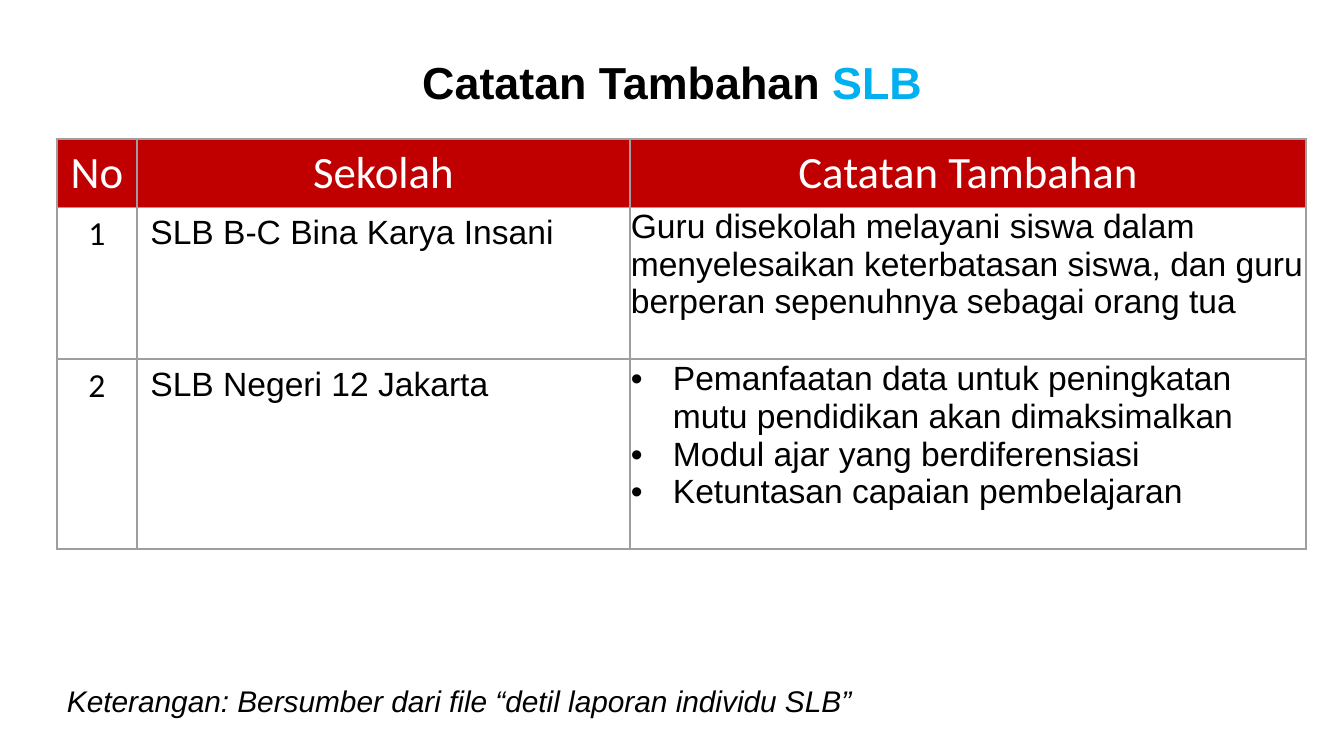
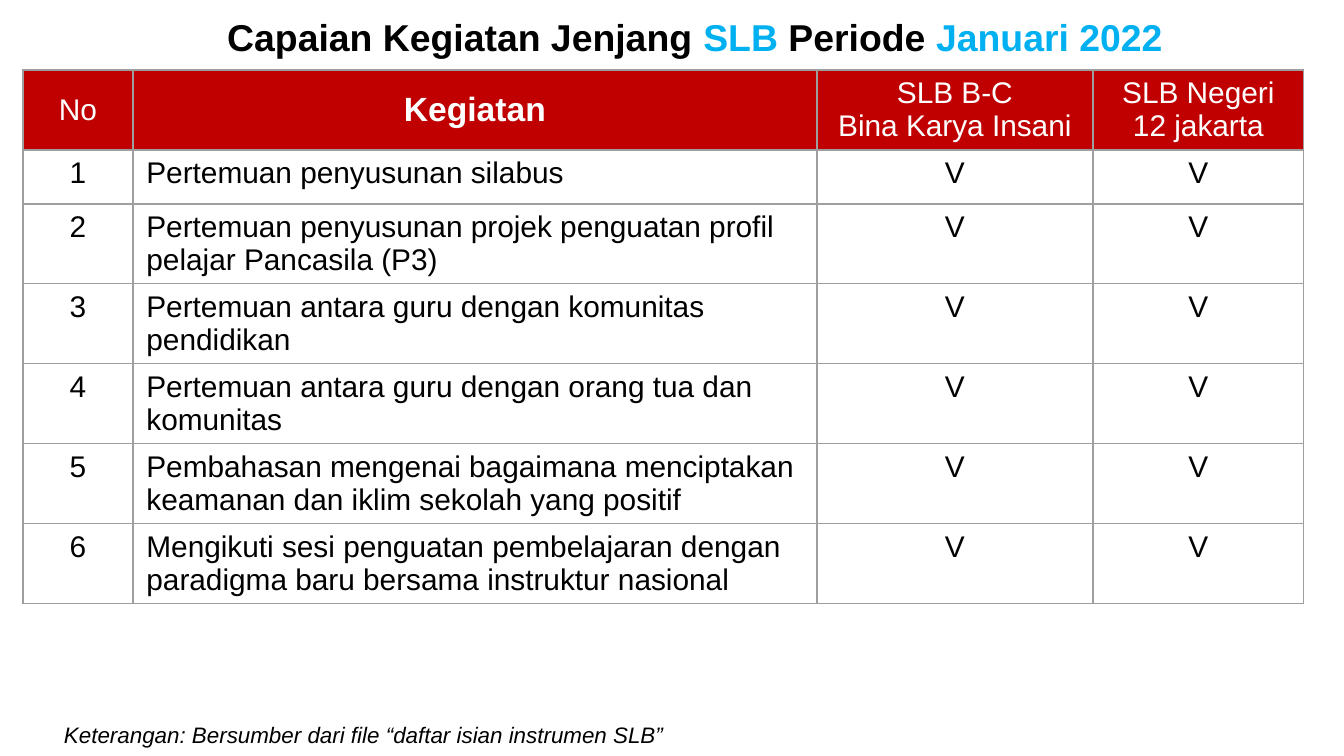
from lxml.etree import SubElement
from pptx import Presentation
from pptx.dml.color import RGBColor
from pptx.enum.text import MSO_ANCHOR as Anchor, MSO_AUTO_SIZE as AutoSize, PP_ALIGN as Align
from pptx.oxml.ns import qn
from pptx.util import Pt

EMU_PER_PX = 914400 / 134.4
COLORS = {"text": "000000", "accent": "00B0F0", "header": "C00000",
          "header_text": "FFFFFF", "border": "9E9E9E"}
ALIGNS = {"c": Align.CENTER, "l": Align.LEFT}
TITLE_ONLY = 5


def px(length):
    return round(length * EMU_PER_PX)


def rgb(name):
    return RGBColor.from_string(COLORS[name])


def add_span(para, text, size=16, color="text", font="Arial", bold=False, italic=False):
    span = para.add_run()
    span.text = text
    span.font.size = Pt(size)
    span.font.name = font
    span.font.bold = bold
    span.font.italic = italic
    span.font.color.rgb = rgb(color)


def add_bullet(para, indent=42):
    props = para._p.get_or_add_pPr()
    props.set("marL", str(px(indent)))
    props.set("indent", str(-px(indent)))
    SubElement(props, qn("a:buFont"), typeface="Arial")
    SubElement(props, qn("a:buChar"), char="•")


def add_borders(cell):
    props = cell._tc.get_or_add_tcPr()
    for side in ("lnL", "lnR", "lnT", "lnB"):
        line = SubElement(props, qn(f"a:{side}"), w=str(Pt(0.75)))
        fill = SubElement(line, qn("a:solidFill"))
        SubElement(fill, qn("a:srgbClr"), val=COLORS["border"])


class Page:
    def __init__(self, deck):
        self.slide = deck.slides.add_slide(deck.slide_layouts[TITLE_ONLY])

    def line_of_text(self, box, place, align):
        """Place a box for one line and return its paragraph."""
        box.left, box.top, box.width, box.height = map(px, place)
        frame = box.text_frame
        frame.word_wrap = True
        frame.auto_size = AutoSize.NONE
        frame.vertical_anchor = Anchor.MIDDLE
        frame.margin_left = frame.margin_right = px(9)
        frame.margin_top = frame.margin_bottom = px(5)
        para = frame.paragraphs[0]
        para.alignment = align
        para.line_spacing = 0.9
        return para

    def title(self, place, size, spans):
        para = self.line_of_text(self.slide.shapes.title, place, Align.CENTER)
        for text, color in spans:
            add_span(para, text, size=size, color=color, bold=True)

    def note(self, place, size, text):
        box = self.slide.shapes.add_textbox(0, 0, 0, 0)
        para = self.line_of_text(box, place, Align.LEFT)
        add_span(para, text, size=size, italic=True)

    def table(self, left, top, widths, heights):
        frame = self.slide.shapes.add_table(
            len(heights), len(widths), px(left), px(top), px(sum(widths)), px(sum(heights)))
        table = frame.table
        table.horz_banding = False
        for column, width in zip(table.columns, widths):
            column.width = px(width)
        for row, height in zip(table.rows, heights):
            row.height = px(height)
        return table

    def cell(self, cell, text, align="c", anchor=Anchor.TOP, bullets=False, **style):
        add_borders(cell)
        cell.fill.background()
        cell.vertical_anchor = anchor
        for index, line in enumerate(text.split("\n")):
            frame = cell.text_frame
            para = frame.add_paragraph() if index else frame.paragraphs[0]
            para.alignment = ALIGNS[align]
            if bullets:
                add_bullet(para)
            add_span(para, line, **style)

    def header_cell(self, cell, text, **style):
        self.cell(cell, text, color="header_text", **style)
        cell.fill.solid()
        cell.fill.fore_color.rgb = rgb("header")

    def remark_cell(self, cell, text, **style):
        """Fill a cell with hardly any margin and one line of room below the text."""
        self.cell(cell, text, align="l", anchor=Anchor.BOTTOM, **style)
        cell.margin_left = cell.margin_right = cell.margin_top = px(1)
        cell.margin_bottom = px(38)


def build_remarks(deck):
    page = Page(deck)
    page.title((0, 54, 1344, 62), 24, [("Catatan Tambahan ", "text"), ("SLB", "accent")])
    page.note((58, 673, 1232, 59), 16,
              "Keterangan: Bersumber dari file “detil laporan individu SLB”")
    schools = [
        ("SLB B-C Bina Karya Insani",
         "Guru disekolah melayani siswa dalam menyelesaikan keterbatasan siswa, "
         "dan guru berperan sepenuhnya sebagai orang tua"),
        ("SLB Negeri 12 Jakarta",
         "Pemanfaatan data untuk peningkatan mutu pendidikan akan dimaksimalkan\n"
         "Modul ajar yang berdiferensiasi\n"
         "Ketuntasan capaian pembelajaran"),
    ]
    table = page.table(57, 139, [80, 493, 676], [68, 151, 190])
    for column, heading in enumerate(("No", "Sekolah", "Catatan Tambahan")):
        page.header_cell(table.cell(0, column), heading, size=24, font="Calibri")
    for row, (school, remark) in enumerate(schools, 1):
        page.cell(table.cell(row, 0), str(row), size=18, font="Calibri")
        page.cell(table.cell(row, 1), school, align="l", size=18)
        page.remark_cell(table.cell(row, 2), remark, size=18, bullets="\n" in remark)


def build_activities(deck):
    page = Page(deck)
    page.title((23, 8, 1344, 63), 20,
               [("Capaian Kegiatan Jenjang ", "text"), ("SLB ", "accent"),
                ("Periode ", "text"), ("Januari 2022", "accent")])
    activities = [
        "Pertemuan penyusunan silabus",
        "Pertemuan penyusunan projek penguatan profil pelajar Pancasila (P3)",
        "Pertemuan antara guru dengan komunitas pendidikan",
        "Pertemuan antara guru dengan orang tua dan komunitas",
        "Pembahasan mengenai bagaimana menciptakan keamanan dan iklim sekolah yang positif",
        "Mengikuti sesi penguatan pembelajaran dengan paradigma baru bersama instruktur nasional",
    ]
    headings = ["No", "Kegiatan", "SLB B-C\nBina Karya Insani", "SLB Negeri\n12 jakarta"]
    table = page.table(23, 70, [110, 684, 276, 211], [80, 54] + [80] * 5)
    for column, heading in enumerate(headings):
        main = heading == "Kegiatan"
        page.header_cell(table.cell(0, column), heading, anchor=Anchor.MIDDLE,
                         size=18 if main else 16, bold=main)
    for row, activity in enumerate(activities, 1):
        for column, text in enumerate((str(row), activity, "V", "V")):
            page.cell(table.cell(row, column), text, align="clcc"[column])
    page.note((55, 707, 1232, 59), 12,
              "Keterangan: Bersumber dari file “daftar isian instrumen SLB”")


def main():
    deck = Presentation()
    deck.slide_width, deck.slide_height = px(1344), px(756)
    build_remarks(deck)
    build_activities(deck)
    deck.save("out.pptx")


if __name__ == "__main__":
    main()
